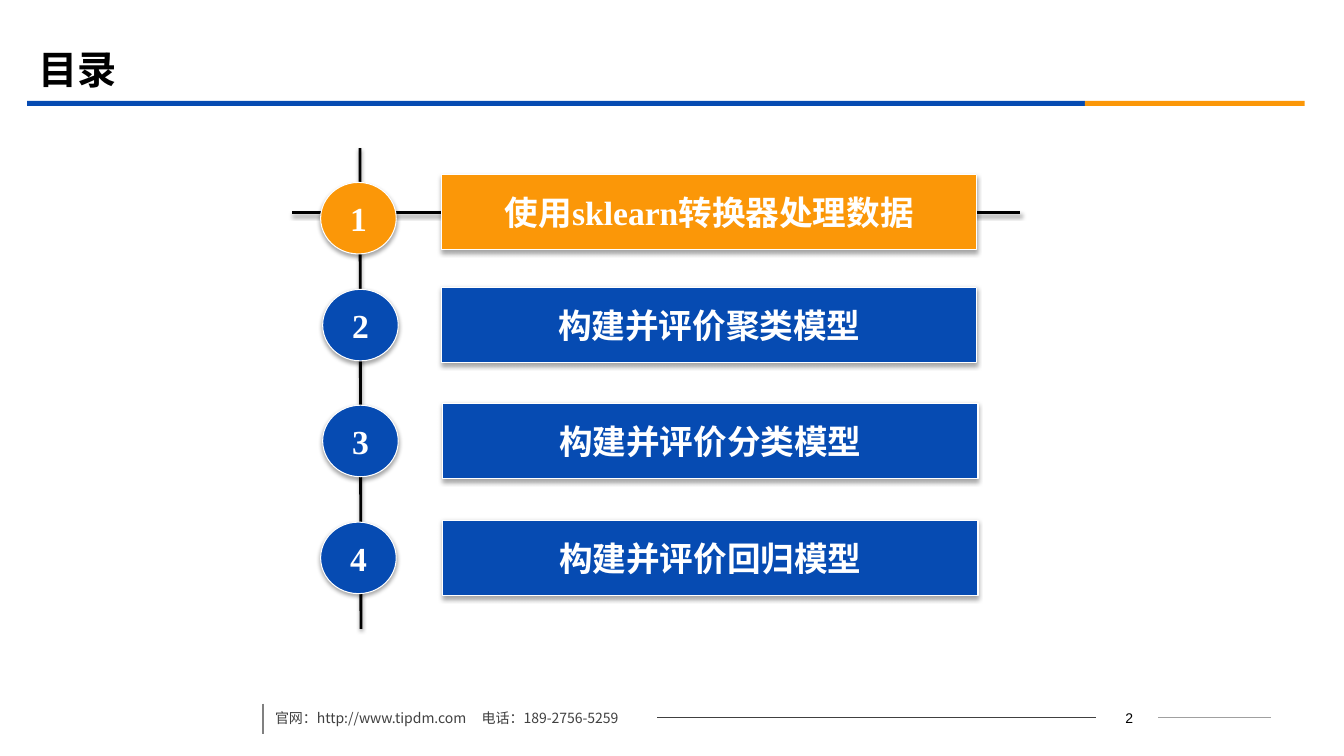
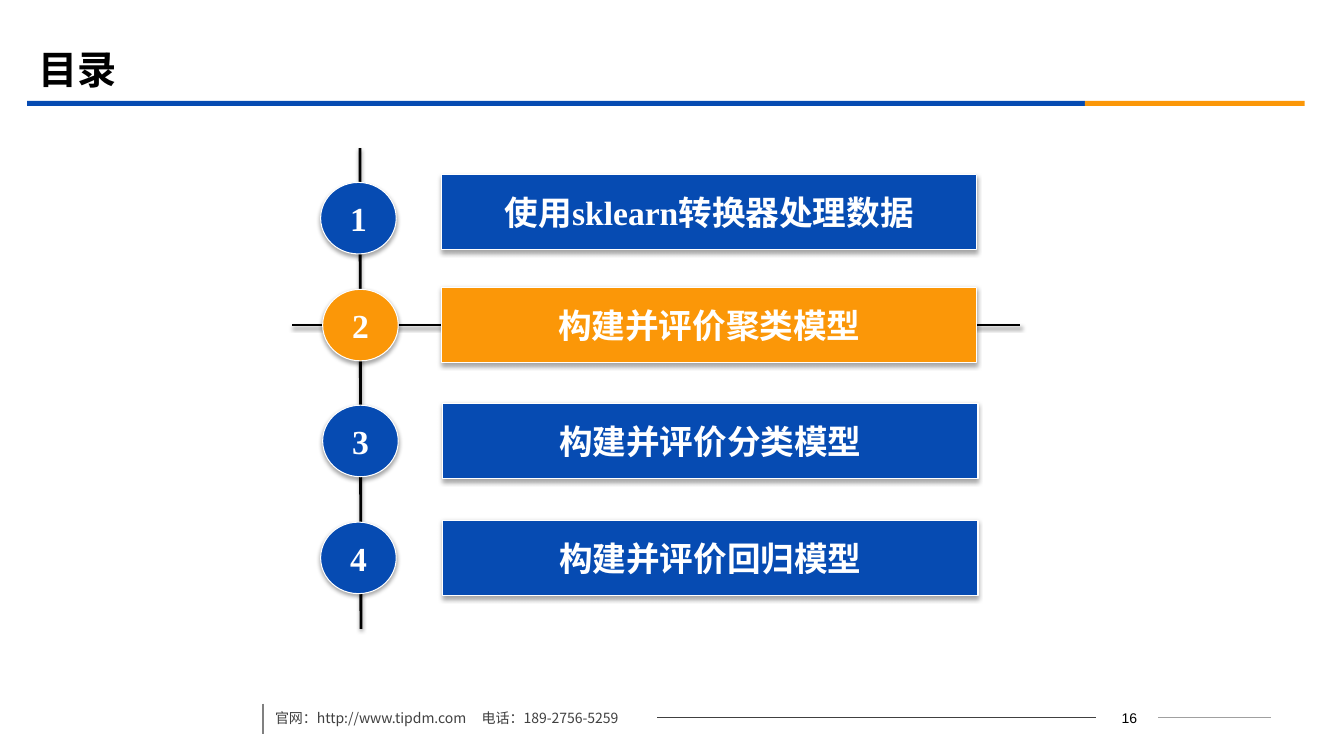
from lxml import etree
from pptx import Presentation
from pptx.dml.color import RGBColor
from pptx.enum.shapes import MSO_CONNECTOR, MSO_SHAPE
from pptx.enum.text import MSO_ANCHOR, PP_ALIGN
from pptx.oxml.ns import qn
from pptx.util import Inches, Pt

RECTANGLE = MSO_SHAPE.RECTANGLE
OVAL = MSO_SHAPE.OVAL
BUTTON = MSO_SHAPE.ACTION_BUTTON_CUSTOM
STRAIGHT = MSO_CONNECTOR.STRAIGHT
MIDDLE = MSO_ANCHOR.MIDDLE
LEFT = PP_ALIGN.LEFT
CENTER = PP_ALIGN.CENTER

BLUE = RGBColor(0x06, 0x4B, 0xB2)
ORANGE = RGBColor(0xFB, 0x97, 0x08)
WHITE = RGBColor(0xFF, 0xFF, 0xFF)
BLACK = RGBColor(0, 0, 0)
DARK_GRAY = RGBColor(0x40, 0x40, 0x40)
GRAY = RGBColor(0x80, 0x80, 0x80)
LIGHT_GRAY = RGBColor(0xA0, 0xA0, 0xA0)

SERIF = "Times New Roman"
SANS = "Arial"
CHINESE = "Noto Sans CJK SC"

SHAPE_SHADOW = (1.8, 35)
LINE_SHADOW = (1.6, 38)

TITLE = "目录"
CHAPTERS = [
    ("使用sklearn转换器处理数据", 4.38, 1.73, 3.18, 1.81),
    ("构建并评价聚类模型", 4.38, 2.85, 3.2, 2.87),
    ("构建并评价分类模型", 4.39, 4, 3.2, 4.02),
    ("构建并评价回归模型", 4.39, 5.16, 3.18, 5.18),
]
AGENDA_BOX = (2.9, 1.47, 7.22, 4.77)
BAR_SIZE = (5.31, 0.75)
CIRCLE_SIZE = (0.75, 0.71)
AGENDA_SLIDES = [(2, 0), (16, 1)]


def set_shadow(shape, shadow=None):
    effects = etree.SubElement(shape._element.spPr, qn("a:effectLst"))
    if shadow:
        distance, opacity = shadow
        outer = etree.SubElement(
            effects, qn("a:outerShdw"), blurRad=str(Pt(3.1)), dist=str(Pt(distance)),
            dir="5400000", rotWithShape="0")
        color = etree.SubElement(outer, qn("a:srgbClr"), val=str(BLACK))
        etree.SubElement(color, qn("a:alpha"), val=str(opacity * 1000))


def add_line(slide, start, end, color, width, shadow=None):
    line = slide.shapes.add_connector(STRAIGHT, *map(Inches, start + end))
    line.line.color.rgb = color
    line.line.width = Pt(width)
    set_shadow(line, shadow)


def add_run(paragraph, text, size, font, color, bold=False):
    run = paragraph.add_run()
    run.text = text
    run.font.size = Pt(size)
    run.font.bold = bold
    run.font.color.rgb = color
    run.font.name = font
    etree.SubElement(run._r.get_or_add_rPr(), qn("a:ea"), typeface=CHINESE)


def add_text(slide, box, text, size, font, color, bold=False, align=LEFT, tab=None):
    frame = slide.shapes.add_textbox(*map(Inches, box)).text_frame
    frame.word_wrap = True
    frame.vertical_anchor = MIDDLE
    paragraph = frame.paragraphs[0]
    paragraph.alignment = align
    if tab:
        stops = etree.SubElement(paragraph._p.get_or_add_pPr(), qn("a:tabLst"))
        etree.SubElement(stops, qn("a:tab"), pos=str(Inches(tab)), algn="l")
    add_run(paragraph, text, size, font, color, bold)


def add_filled_shape(slide, kind, box, color):
    shape = slide.shapes.add_shape(kind, *map(Inches, box))
    shape.fill.solid()
    shape.fill.fore_color.rgb = color
    return shape


def add_label(slide, kind, box, text, color):
    shape = add_filled_shape(slide, kind, box, color)
    shape.line.color.rgb = WHITE
    shape.line.width = Pt(0.75)
    set_shadow(shape, SHAPE_SHADOW)
    frame = shape.text_frame
    frame.word_wrap = False
    frame.vertical_anchor = MIDDLE
    paragraph = frame.paragraphs[0]
    paragraph.alignment = CENTER
    add_run(paragraph, text, 24, SERIF, WHITE, True)


def add_header(slide, left, top):
    add_text(slide, (left, top, 12, 0.58), TITLE, 28, SERIF, BLACK, True)
    band_left = left - 0.01
    for width, color in ((10.49, BLUE), (2.18, ORANGE)):
        band = add_filled_shape(slide, RECTANGLE, (band_left, top + 0.61, width, 0.05), color)
        band.line.fill.background()
        set_shadow(band)
        band_left += width


def add_footer(slide, left, middle, number):
    add_line(slide, (left, middle - 0.14), (left, middle + 0.16), GRAY, 1.25)
    add_line(slide, (left + 3.91, middle), (left + 8.26, middle), DARK_GRAY, 0.75)
    add_line(slide, (left + 8.88, middle), (left + 10, middle), LIGHT_GRAY, 0.75)
    add_text(slide, (left + 0.02, middle - 0.17, 5.36, 0.35),
             "官网：http://www.tipdm.com\t电话：189-2756-5259",
             10, CHINESE, DARK_GRAY, tab=2.05)
    add_text(slide, (left + 8.28, middle - 0.12, 0.62, 0.25), str(number),
             10, SANS, BLACK, align=CENTER)


def add_agenda(slide, box, active):
    left, top, width, height = box
    add_line(slide, (left + 0.67, top), (left + 0.68, top + height), BLACK, 2, LINE_SHADOW)
    active_middle = CHAPTERS[active][2] + BAR_SIZE[1] / 2
    add_line(slide, (left, active_middle), (left + width, active_middle), BLACK, 2, LINE_SHADOW)
    for index, (text, bar_left, bar_top, circle_left, circle_top) in enumerate(CHAPTERS):
        color = ORANGE if index == active else BLUE
        add_label(slide, OVAL, (circle_left, circle_top) + CIRCLE_SIZE, str(index + 1), color)
        add_label(slide, BUTTON, (bar_left, bar_top) + BAR_SIZE, text, color)


def main():
    presentation = Presentation()
    presentation.slide_width = Inches(13.33)
    presentation.slide_height = Inches(7.5)
    for number, active in AGENDA_SLIDES:
        slide = presentation.slides.add_slide(presentation.slide_layouts[6])
        add_header(slide, 0.28, 0.39)
        add_footer(slide, 2.61, 7.12, number)
        add_agenda(slide, AGENDA_BOX, active)
    presentation.save("out.pptx")


if __name__ == "__main__":
    main()
